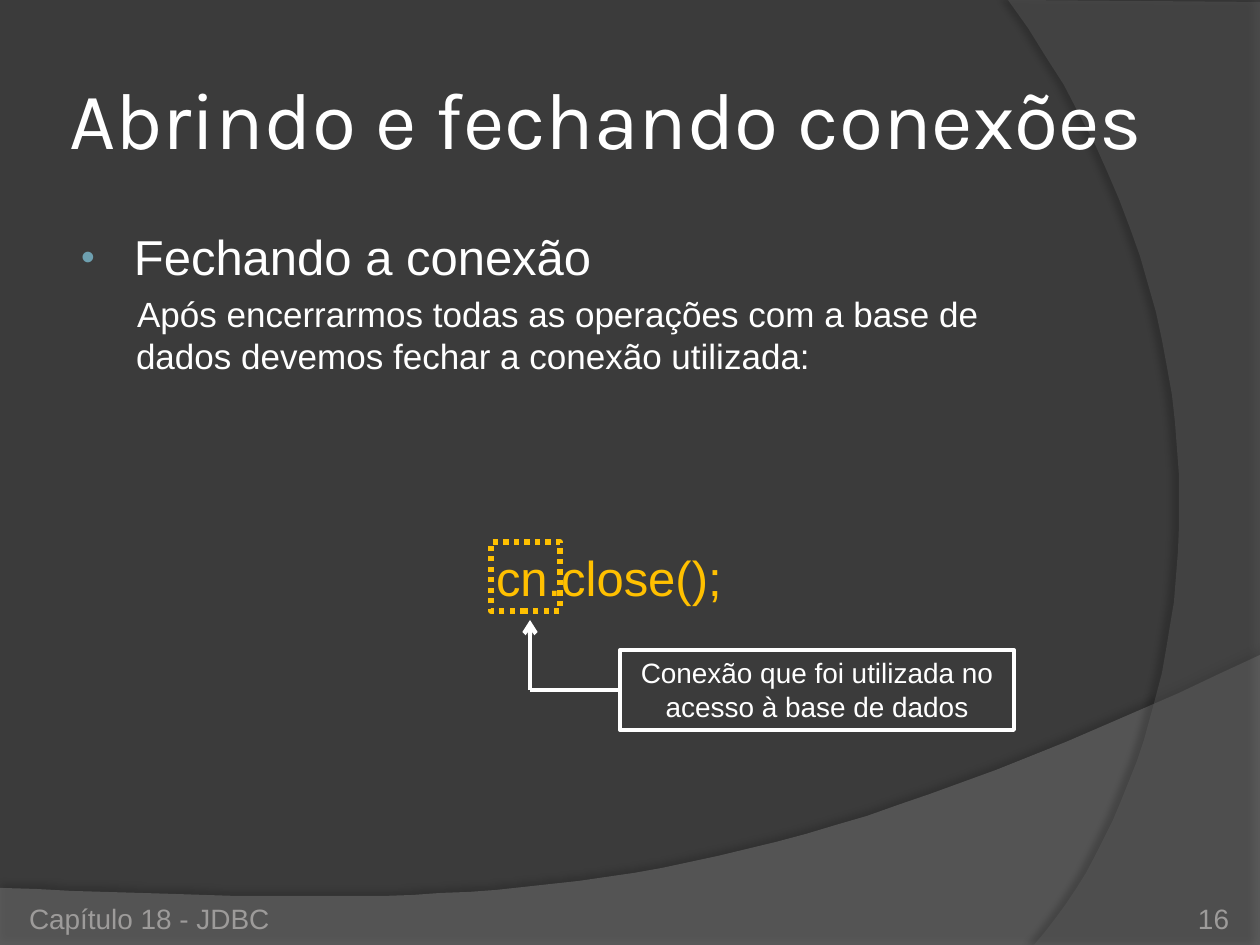
from lxml import etree
from pptx import Presentation
from pptx.dml.color import RGBColor
from pptx.enum.dml import MSO_LINE
from pptx.enum.shapes import MSO_CONNECTOR, MSO_SHAPE
from pptx.enum.text import MSO_ANCHOR, PP_ALIGN
from pptx.oxml.ns import qn
from pptx.util import Emu, Pt

EMU_PER_PX = 914400 / 126
SLIDE_SIZE = (1260, 945)
LEFT, CENTER, RIGHT = PP_ALIGN.LEFT, PP_ALIGN.CENTER, PP_ALIGN.RIGHT
TOP, MIDDLE, BOTTOM = MSO_ANCHOR.TOP, MSO_ANCHOR.MIDDLE, MSO_ANCHOR.BOTTOM
WHITE, AMBER, GRAY, TEAL = "FFFFFF", "FFC000", "9D9B9A", "6EA0B0"
BACKGROUND = "3B3B3B"
CURVE_STEPS = 40

# Each wave: straight corners, then a Bézier curve (start, two controls, end).
WAVES = [
    {"corners": [(0, 945), (1260, 945)],
     "curve": [(1260, 655), (704, 919), (493, 906), (0, 888)],
     "color": "7F7F7F", "alpha": 45, "shadow": (35, 4, 3.5, 270)},
    {"corners": [(1260, 2), (1260, 945)],
     "curve": [(1034, 945), (1178, 780), (1283, 378), (1008, 0)],
     "color": "5E5E5E", "alpha": 40, "shadow": (45, 4, 4, 180)},
]

# Paragraph: text, size, space before, left margin and first-line indent in px, bullet
BODY = [
    ("Fechando a conexão", 28, 3, 58, -53, "•"),
    ("Após encerrarmos todas as operações com a base de dados "
     "devemos fechar a conexão utilizada:", 20, 4, 60, 1, None),
]
# Box, paragraphs, font, colour, alignment, anchor, insets (horizontal, vertical)
TEXTS = [
    ((63, 38, 1153, 158), [("Abrindo e fechando conexões", 46, 0, 0, 0, None)],
     "Karla", WHITE, LEFT, MIDDLE, (6, 6)),
    ((63, 221, 1029, 301), BODY, "Arial", WHITE, LEFT, TOP, (13, 6)),
    ((483, 542, 295, 302), [("cn.close();", 28, 3, 0, 0, None)],
     "Arial", AMBER, LEFT, TOP, (13, 6)),
    ((29, 885, 399, 50), [("Capítulo 18 - JDBC", 16, 0, 0, 0, None)],
     "Arial", GRAY, LEFT, BOTTOM, (0, 0)),
    ((1124, 885, 105, 50), [("16", 16, 0, 0, 0, None)],
     "Arial", GRAY, RIGHT, BOTTOM, (0, 0)),
]
HIGHLIGHT_BOX = (491, 542, 69, 69)
CALLOUT_BOX = (620, 650, 394, 80)
CALLOUT = [("Conexão que foi utilizada no acesso à base de dados", 16, 0, 0, 0, None)]
BEND, ARROW_TIP = (530, 690), (530, 620)


def px(value):
    return Emu(round(value * EMU_PER_PX))


def rgb(value):
    return RGBColor.from_string(value)


def add_child(parent, tag, **attributes):
    return etree.SubElement(parent, qn(tag), {k: str(v) for k, v in attributes.items()})


def bezier(start, control_1, control_2, end):
    """Return points along a cubic curve, both ends included."""
    points = []
    for step in range(CURVE_STEPS + 1):
        t = step / CURVE_STEPS
        weights = ((1 - t) ** 3, 3 * t * (1 - t) ** 2, 3 * t * t * (1 - t), t ** 3)
        points.append(tuple(
            sum(w * value for w, value in zip(weights, axis))
            for axis in zip(start, control_1, control_2, end)))
    return points


def add_wave(slide, wave):
    points = wave["corners"] + bezier(*wave["curve"])
    builder = slide.shapes.build_freeform(*points[0], scale=EMU_PER_PX)
    builder.add_line_segments(points[1:], close=True)
    shape = builder.convert_to_shape()
    shape.fill.solid()
    shape.fill.fore_color.rgb = rgb(wave["color"])
    color = shape._element.spPr.find(qn("a:solidFill"))[0]
    add_child(color, "a:alpha", val=wave["alpha"] * 1000)
    shape.line.fill.background()
    shape.shadow.inherit = False
    alpha, blur, distance, angle = wave["shadow"]
    effects = shape._element.spPr.find(qn("a:effectLst"))
    shadow = add_child(effects, "a:outerShdw", blurRad=Pt(blur), dist=Pt(distance),
                       dir=angle * 60000, algn="ctr", rotWithShape=0)
    shadow_color = add_child(shadow, "a:srgbClr", val="000000")
    add_child(shadow_color, "a:alpha", val=alpha * 1000)


def write_text(shape, paragraphs, font, color, alignment, anchor, insets):
    frame = shape.text_frame
    frame.word_wrap = True
    frame.vertical_anchor = anchor
    frame.margin_left = frame.margin_right = px(insets[0])
    frame.margin_top = frame.margin_bottom = px(insets[1])
    frame.text = "\n".join(item[0] for item in paragraphs)
    for paragraph, item in zip(frame.paragraphs, paragraphs):
        _, size, space_before, margin, indent, bullet = item
        paragraph.alignment = alignment
        paragraph.space_before = Pt(space_before)
        properties = paragraph._p.get_or_add_pPr()
        properties.set("marL", str(px(margin)))
        properties.set("indent", str(px(indent)))
        if bullet:
            add_child(add_child(properties, "a:buClr"), "a:srgbClr", val=TEAL)
            add_child(properties, "a:buSzPct", val=80000)
            add_child(properties, "a:buFont", typeface=font)
            add_child(properties, "a:buChar", char=bullet)
        for run in paragraph.runs:
            run.font.name = font
            run.font.size = Pt(size)
            run.font.color.rgb = rgb(color)


def add_outline(slide, box, color, width):
    shape = slide.shapes.add_shape(MSO_SHAPE.RECTANGLE, *map(px, box))
    shape.shadow.inherit = False
    shape.fill.background()
    shape.line.color.rgb = rgb(color)
    shape.line.width = Pt(width)
    return shape


def add_line(slide, start, end):
    line = slide.shapes.add_connector(MSO_CONNECTOR.STRAIGHT, *map(px, start + end))
    line.line.color.rgb = rgb(WHITE)
    line.line.width = Pt(2.5)
    add_child(line._element.spPr, "a:effectLst")
    return line


def main():
    presentation = Presentation()
    presentation.slide_width, presentation.slide_height = map(px, SLIDE_SIZE)
    slide = presentation.slides.add_slide(presentation.slide_layouts[6])
    slide.background.fill.solid()
    slide.background.fill.fore_color.rgb = rgb(BACKGROUND)

    for wave in WAVES:
        add_wave(slide, wave)
    for box, *text in TEXTS:
        write_text(slide.shapes.add_textbox(*map(px, box)), *text)

    highlight = add_outline(slide, HIGHLIGHT_BOX, AMBER, 3)
    highlight.line.dash_style = MSO_LINE.ROUND_DOT
    callout = add_outline(slide, CALLOUT_BOX, WHITE, 2.25)
    write_text(callout, CALLOUT, "Arial", WHITE, CENTER, TOP, (13, 6))

    arrow = add_line(slide, BEND, ARROW_TIP)
    add_child(arrow.line._get_or_add_ln(), "a:tailEnd", type="arrow")
    callout_side = (CALLOUT_BOX[0], BEND[1])
    add_line(slide, callout_side, BEND).begin_connect(callout, 1)

    presentation.save("out.pptx")


if __name__ == "__main__":
    main()
